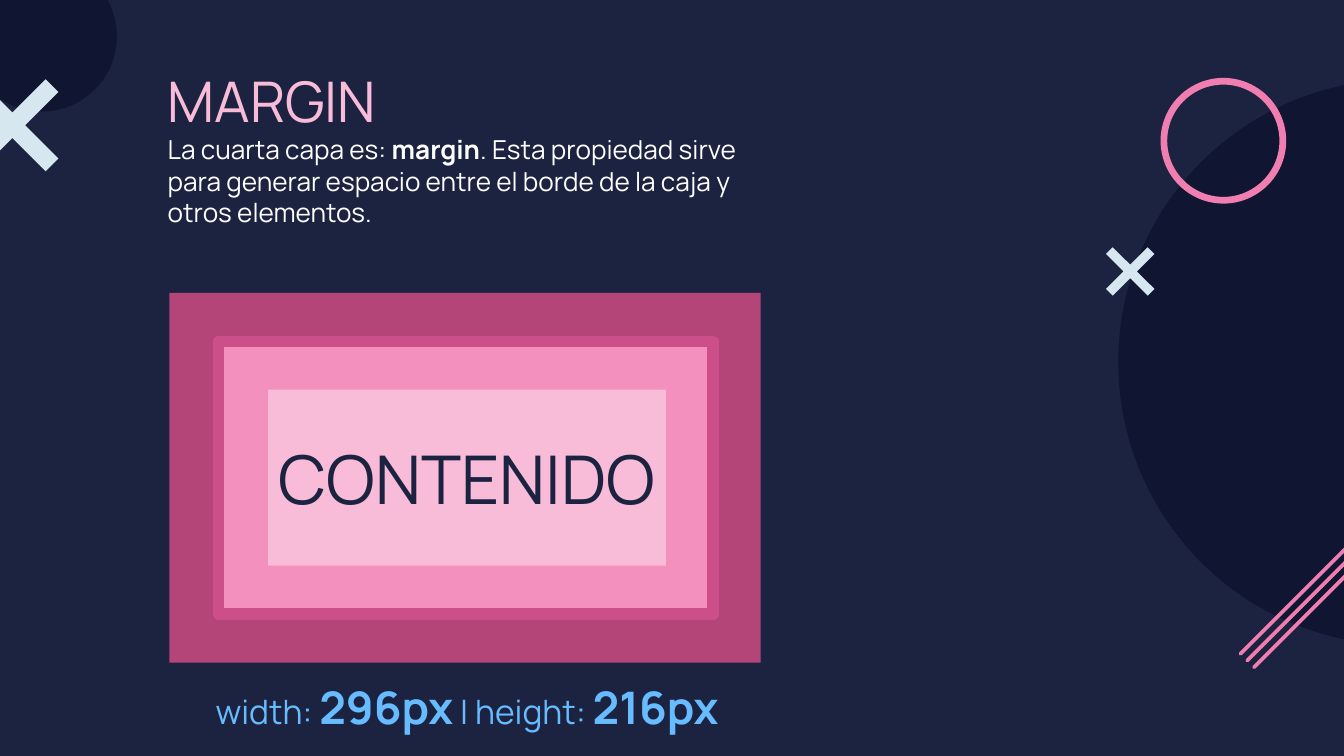
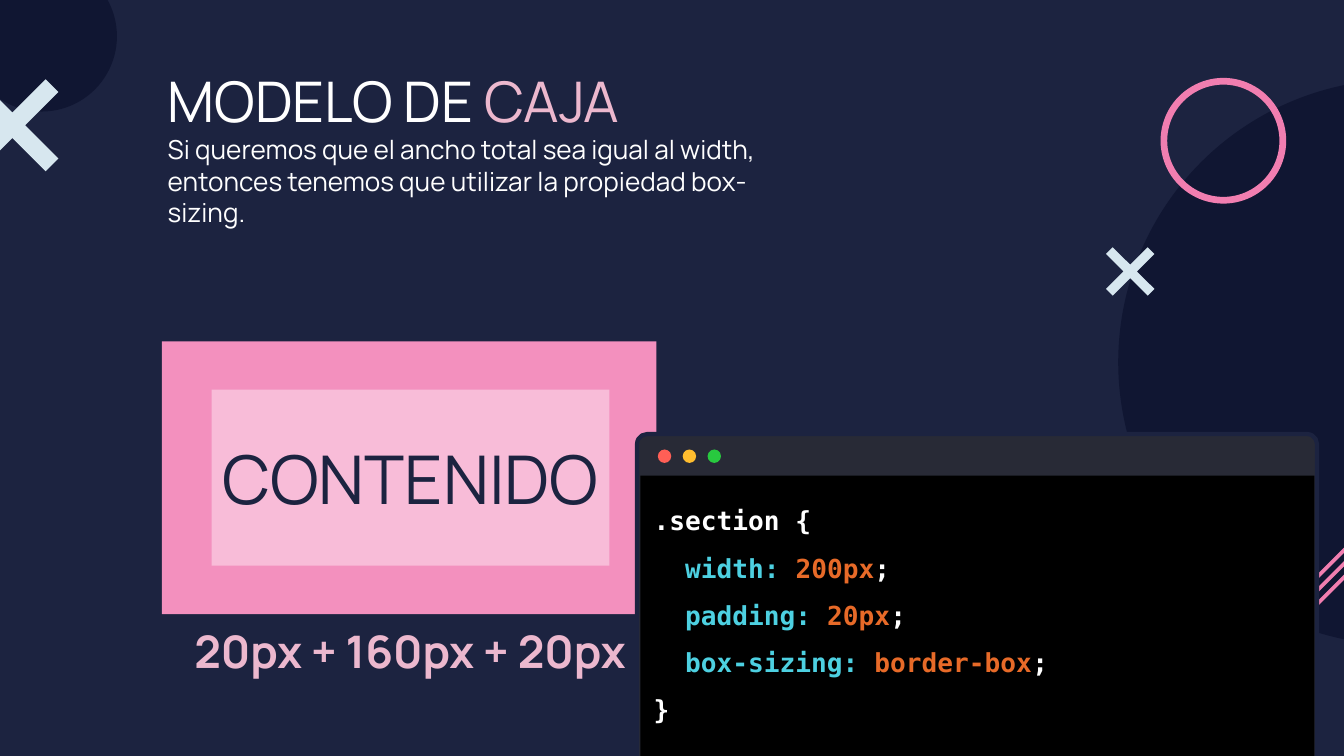
import pptx
import pptx.util
import pptx.dml.color
import pptx.enum.shapes
import pptx.enum.text
import pptx.oxml.ns
import lxml.etree

SCALE = 4572
WIDE, HIGH = 2000, 1125
SANS, MONO = "Manrope", "DejaVu Sans Mono"
FORM = pptx.enum.shapes.MSO_SHAPE
ALIGN = pptx.enum.text.PP_ALIGN
ANCHOR = pptx.enum.text.MSO_ANCHOR

HUES = {
    "navy": "1C2340", "night": "101632", "white": "FFFFFF", "black": "000000",
    "ice": "D7E7EF", "pink": "F17EB0", "pale": "F8BCD8", "rose": "ECB8CE",
    "pad": "F390BE", "edge": "CD4F8A", "outer": "B34578", "sky": "67BBFF",
    "bar": "282A36", "red": "FF5F56", "gold": "FFBD2F", "green": "28C93F",
    "cyan": "4DD0E1", "rust": "E76A28",
}

MARGIN = [[
    ("MARGIN\n", 30, "pale", False),
    ("La cuarta capa es: ", 14, "white", False),
    ("margin", 14, "white", True),
    (". Esta propiedad sirve para generar espacio entre el borde de la caja "
     "y otros elementos.", 14, "white", False),
]]
MODEL = [[
    ("MODELO DE ", 30, "white", False),
    ("CAJA\n", 30, "rose", False),
    ("Si queremos que el ancho total sea igual al width, entonces tenemos "
     "que utilizar la propiedad box-sizing.", 14, "white", False),
]]
TOTAL = [[
    ("width: ", 18, "sky", False), ("296px", 24, "sky", True),
    (" ", 18, "sky", True), ("| height: ", 18, "sky", False),
    ("216px", 24, "sky", True),
]]
SUM = [[("20px + 160px + 20px", 24, "rose", True)]]
LABEL = [[("CONTENIDO", 36, "navy", False)]]
RULES = [("width", "200px"), ("padding", "20px"), ("box-sizing", "border-box")]
LIGHTS = ["red", "gold", "green"]

DISCS = [(-50, -58, 224), (1664, 118, 842)]
CROSSES = [(1646, 368, 72, 10), (-50, 118, 137, 19)]
RING = (1727, 116, 187, 10)
STRIPES = {"count": 3, "left": 1846, "base": 973, "reach": 180, "step": 10}


def px(size):
    return round(size * SCALE)


def hue(name):
    return pptx.dml.color.RGBColor.from_string(HUES[name])


def child(node, tag):
    return lxml.etree.SubElement(node, pptx.oxml.ns.qn(tag))


def paint(shape, fill, line=None, width=0):
    shape.shadow.inherit = False
    shape.fill.solid()
    shape.fill.fore_color.rgb = hue(fill)
    if line:
        shape.line.color.rgb = hue(line)
        shape.line.width = pptx.util.Pt(width)
        child(shape.line._get_or_add_ln(), "a:round")
    else:
        shape.line.fill.background()
    return shape


def draw(slide, form, box, fill, line=None, width=0):
    shape = slide.shapes.add_shape(form, *map(px, box))
    return paint(shape, fill, line, width)


def write(shape, paras, font=SANS, align=ALIGN.LEFT, anchor=ANCHOR.TOP):
    frame = shape.text_frame
    frame.word_wrap = True
    frame.vertical_anchor = anchor
    frame.margin_left = frame.margin_right = px(20)
    frame.margin_top = frame.margin_bottom = px(20)
    for num, runs in enumerate(paras):
        para = frame.add_paragraph() if num else frame.paragraphs[0]
        para.alignment = align
        for text, size, tint, bold in runs:
            run = para.add_run()
            run.text = text.rstrip("\n")
            run.font.name = font
            run.font.size = pptx.util.Pt(size)
            run.font.bold = bold
            run.font.color.rgb = hue(tint)
            if text.endswith("\n"):
                para.add_line_break()
    return frame


def place(slide, box, paras, **style):
    write(slide.shapes.add_textbox(*map(px, box)), paras, **style)


def centre(slide, box, paras):
    place(slide, box, paras, align=ALIGN.CENTER, anchor=ANCHOR.MIDDLE)


def cross(slide, left, top, size, arm):
    mid, far = size / 2, size - arm
    spots = [(arm, 0), (0, arm), (mid - arm, mid), (0, far), (arm, size),
             (mid, mid + arm), (far, size), (size, far), (mid + arm, mid),
             (size, arm), (far, 0), (mid, mid - arm)]
    spots = [(px(left + x), px(top + y)) for x, y in spots]
    path = slide.shapes.build_freeform(*spots[0])
    path.add_line_segments(spots[1:], close=True)
    paint(path.convert_to_shape(), "ice")


def stripe(slide, left, base, reach):
    ends = (left, base, left + reach, base - reach)
    kind = pptx.enum.shapes.MSO_CONNECTOR.STRAIGHT
    line = slide.shapes.add_connector(kind, *map(px, ends))
    line.line.color.rgb = hue("pink")
    line.line.width = pptx.util.Pt(2)
    line.line._get_or_add_ln().set("cap", "rnd")
    child(line._element.spPr, "a:effectLst")


def start(deck, title):
    slide = deck.slides.add_slide(deck.slide_layouts[6])
    slide.background.fill.solid()
    slide.background.fill.fore_color.rgb = hue("navy")
    place(slide, (230, 79, 972, 172), title)
    for left, top, size in DISCS:
        draw(slide, FORM.OVAL, (left, top, size, size), "night")
    for mark in CROSSES:
        cross(slide, *mark)
    left, top, size, thick = RING
    ring = draw(slide, FORM.DONUT, (left, top, size, size), "pink")
    ring.adjustments[0] = thick / size
    for num in range(STRIPES["count"]):
        shift = num * STRIPES["step"]
        stripe(slide, STRIPES["left"] + shift, STRIPES["base"] + shift,
               STRIPES["reach"])
    return slide


def layers(slide, left, line=None, width=0):
    draw(slide, FORM.RECTANGLE, (left, 508, 736, 406), "pad", line, width)
    draw(slide, FORM.RECTANGLE, (left + 74, 580, 592, 262), "pale")
    centre(slide, (left - 116, 625, 972, 172), LABEL)


def window(slide):
    frame = draw(slide, FORM.ROUNDED_RECTANGLE, (948, 646, 1012, 746),
                 "bar", "navy", 2.25)
    frame.adjustments[0] = 0.02
    for num, tint in enumerate(LIGHTS):
        draw(slide, FORM.OVAL, (979 + num * 37, 669, 20, 20), tint)
    code = [[(".section {", 14, "white", True)]]
    for name, value in RULES:
        code.append([(name + ": ", 14, "cyan", True),
                     (value, 14, "rust", True), (";", 14, "white", True)])
    code.append([("}", 14, "white", True)])
    pane = draw(slide, FORM.RECTANGLE, (953, 708, 1003, 680), "black")
    paras = write(pane, code, font=MONO).paragraphs
    for para in paras:
        para.line_spacing = 1.5
    for para in paras[1:-1]:
        para._p.get_or_add_pPr().set("marL", str(px(47)))
        para._p.get_or_add_pPr().set("indent", "0")


def main():
    deck = pptx.Presentation()
    deck.slide_width, deck.slide_height = px(WIDE), px(HIGH)

    slide = start(deck, MARGIN)
    draw(slide, FORM.RECTANGLE, (252, 436, 880, 550), "outer")
    centre(slide, (214, 996, 962, 112), TOTAL)
    layers(slide, 325, "edge", 6)

    slide = start(deck, MODEL)
    layers(slide, 241)
    window(slide)
    centre(slide, (242, 912, 736, 112), SUM)

    deck.save("out.pptx")


if __name__ == "__main__":
    main()
